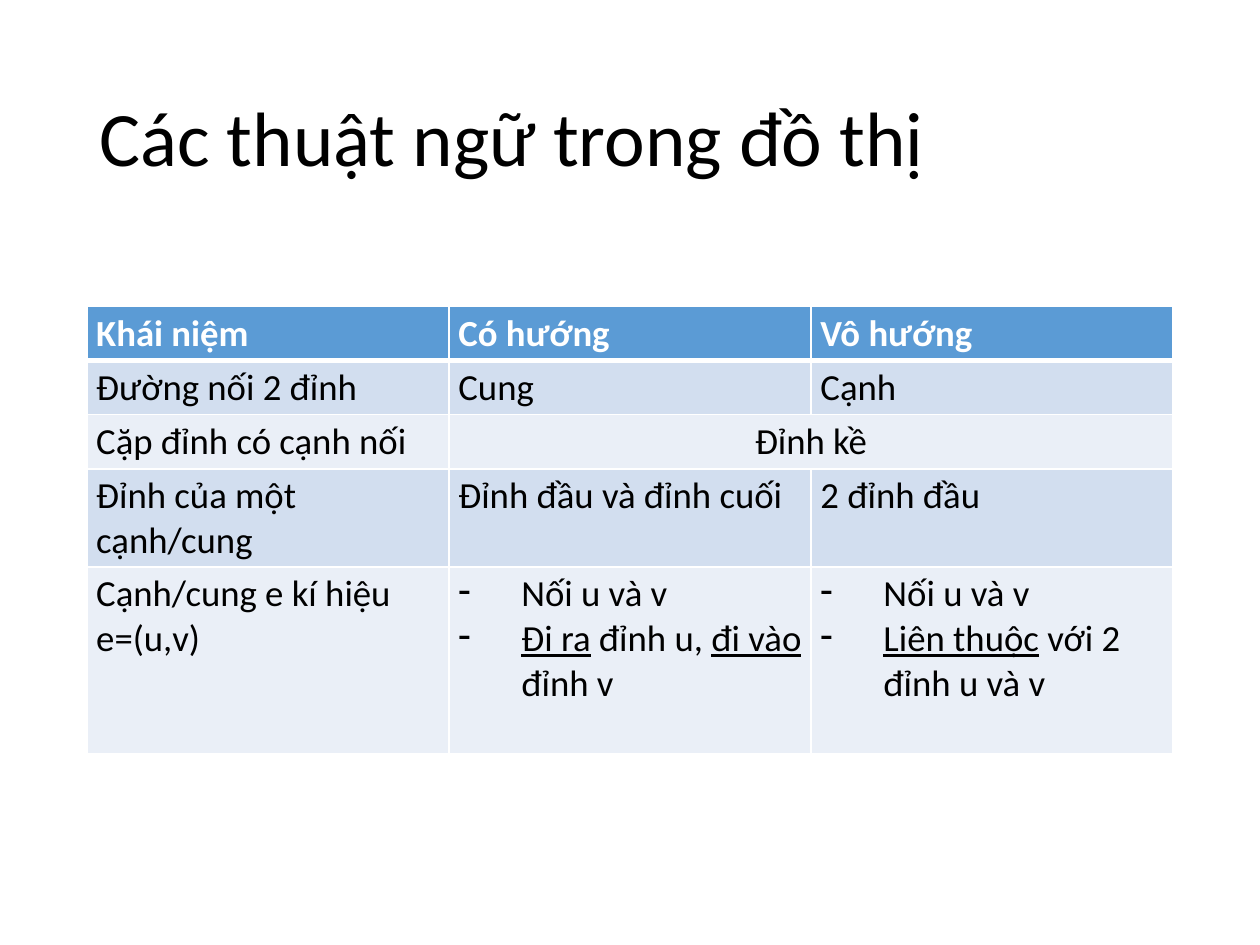
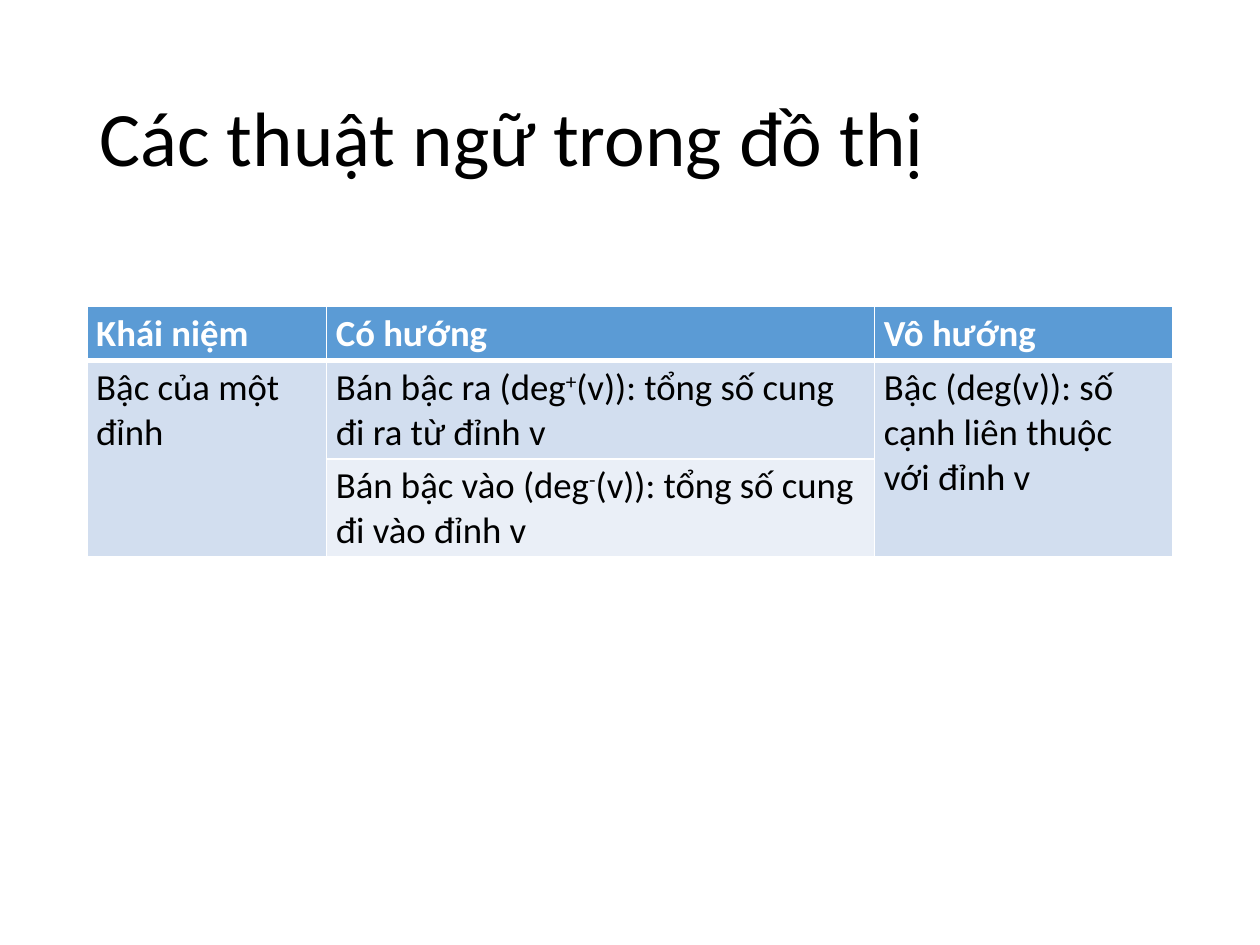
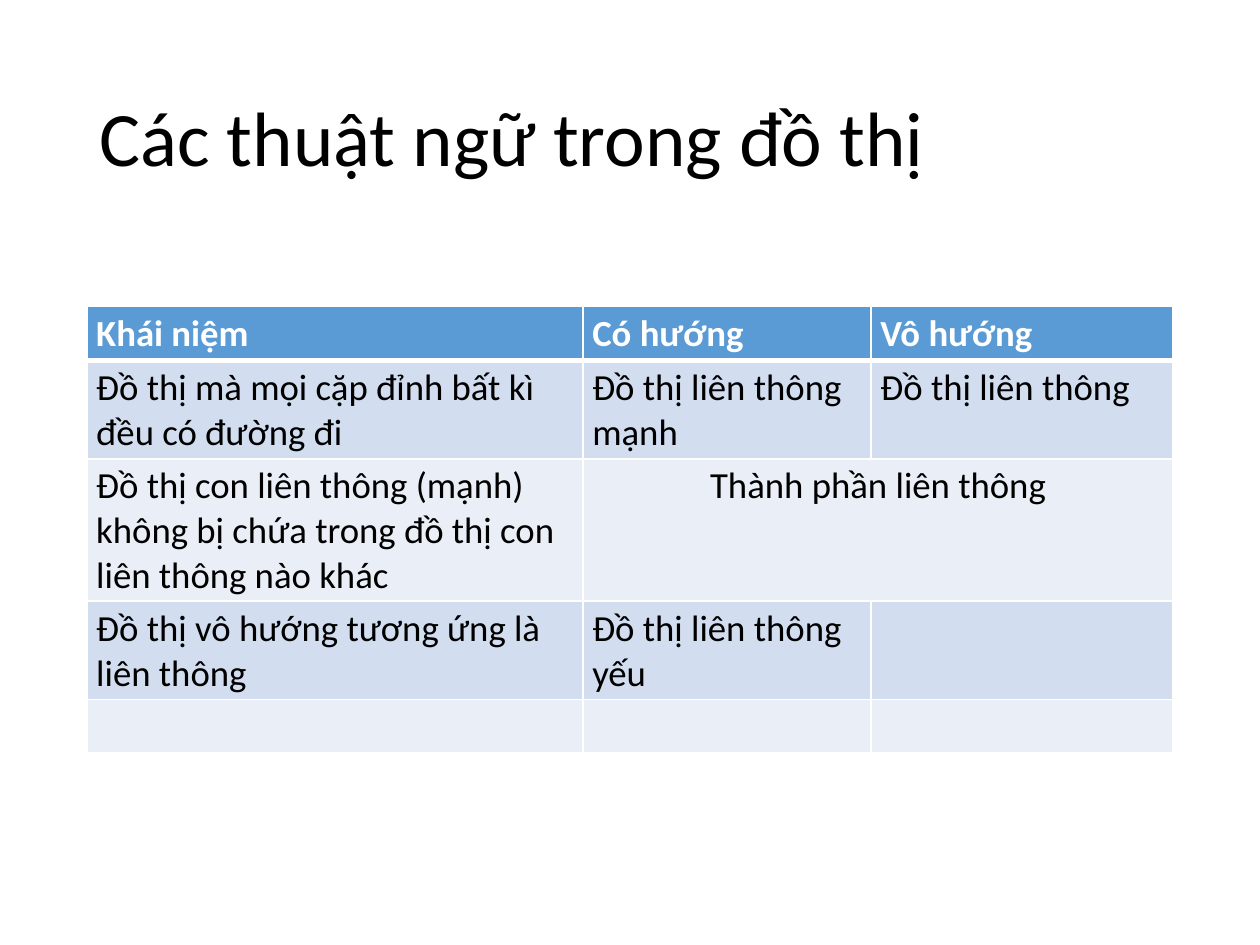
import pptx
import pptx.util
import pptx.dml.color
import pptx.enum.text
import pptx.oxml.ns
import lxml.etree

Cm, Pt = pptx.util.Cm, pptx.util.Pt
Align = pptx.enum.text.PP_ALIGN
Anchor = pptx.enum.text.MSO_ANCHOR

# Content: a cell is a string or a list of dash items; a text may be a list of (words, mark) runs
TITLE = "Các thuật ngữ trong đồ thị"
HEAD = ["Khái niệm", "Có hướng", "Vô hướng"]
# lines: text lines per row; merge: first and last cell (row, column)
SLIDES = [
    {
        "cols": [7.3, 7.3, 7.3],
        "lines": [1, 1, 1, 2, 4],
        "merge": [((2, 1), (2, 2))],
        "rows": [
            ["Đường nối 2 đỉnh", "Cung", "Cạnh"],
            ["Cặp đỉnh có cạnh nối", "Đỉnh kề", ""],
            ["Đỉnh của một cạnh/cung", "Đỉnh đầu và đỉnh cuối", "2 đỉnh đầu"],
            ["Cạnh/cung e kí hiệu e=(u,v)",
             ["Nối u và v",
              [("Đi ra", "under"), (" đỉnh u, ", ""), ("đi vào", "under"), (" đỉnh v", "")]],
             ["Nối u và v",
              [("Liên thuộc", "under"), (" với 2 đỉnh u và v", "")]]],
        ],
    },
    {
        "cols": [4.83, 11.05, 6.02],
        "lines": [1, 2, 2],
        "merge": [((1, 0), (2, 0)), ((1, 2), (2, 2))],
        "rows": [
            ["Bậc của một đỉnh",
             (("Bán bậc ra (deg", ""), ("+", "super"), ("(v)): tổng số cung đi ra từ đỉnh v", "")),
             "Bậc (deg(v)): số cạnh liên thuộc với đỉnh v"],
            ["",
             (("Bán bậc vào (deg", ""), ("-", "super"), ("(v)): tổng số cung đi vào đỉnh v", "")),
             ""],
        ],
    },
    {
        "cols": [10, 5.81, 6.09],
        "lines": [1, 2, 3, 2, 1],
        "merge": [((2, 1), (2, 2))],
        "rows": [
            ["Đồ thị mà mọi cặp đỉnh bất kì đều có đường đi",
             "Đồ thị liên thông mạnh", "Đồ thị liên thông"],
            ["Đồ thị con liên thông (mạnh) không bị chứa trong đồ thị con liên thông nào khác",
             "Thành phần liên thông", ""],
            ["Đồ thị vô hướng tương ứng là liên thông", "Đồ thị liên thông yếu", ""],
            ["", "", ""],
        ],
    },
]

# Shared look
HEX = {"text": "000000", "white": "FFFFFF", "head": "5B9BD5", "odd": "D2DEEF", "even": "EAEFF7"}
FONT = "Calibri"
LEFT, WIDTH = 1.75, 21.9
TOP = 6.18
ROW, LINE = 1.07, 0.9      # height of a one-line row, and of each further line
HANG = Cm(1.27)
STYLES = {
    "title": {"name": FONT, "size": Pt(44), "bold": False},
    "head": {"name": FONT, "size": Pt(21), "bold": True},
    "body": {"name": FONT, "size": Pt(21), "bold": False},
}
PAD = {"margin_left": Cm(0.19), "margin_right": Cm(0.19),
       "margin_top": Cm(0.1), "margin_bottom": Cm(0.1)}


def rgb(key):
    return pptx.dml.color.RGBColor.from_string(HEX[key])


def apply(obj, style):
    for key, value in style.items():
        setattr(obj, key, value)


def node(parent, tag, **attrs):
    return lxml.etree.SubElement(parent, pptx.oxml.ns.qn(tag), attrs)


def write(para, text, style, color):
    """Fill a paragraph with plain text or with marked runs."""
    runs = [(text, "")] if isinstance(text, str) else text
    for words, mark in runs:
        run = para.add_run()
        run.text = words
        apply(run.font, STYLES[style])
        run.font.color.rgb = rgb(color)
        if mark == "under":
            run.font.underline = True
        elif mark == "super":
            run.font._element.set("baseline", "30000")


def dash(para):
    props = para._p.get_or_add_pPr()
    props.set("marL", str(HANG))
    props.set("indent", str(-HANG))
    node(props, "a:buChar", char="-")


def border(cell, row):
    """White lines, heavier under the head row."""
    props = cell._tc.get_or_add_tcPr()
    for side in "LRTB":
        heavy = (row, side) in ((0, "B"), (1, "T"))
        line = node(props, "a:ln" + side, w=str(Pt(3 if heavy else 1)))
        node(node(line, "a:solidFill"), "a:srgbClr", val=HEX["white"])


def fill_cell(cell, text, row):
    apply(cell, PAD)
    border(cell, row)
    cell.fill.solid()
    cell.fill.fore_color.rgb = rgb("head" if row == 0 else "odd" if row % 2 else "even")
    if not text:
        return
    style, color = ("body", "text") if row else ("head", "white")
    frame = cell.text_frame
    items = text if isinstance(text, list) else [text]
    for i, item in enumerate(items):
        para = frame.add_paragraph() if i else frame.paragraphs[0]
        write(para, item, style, color)
        if isinstance(text, list):
            dash(para)


def add_title(slide):
    box = slide.shapes.add_textbox(Cm(LEFT), Cm(1.01), Cm(WIDTH), Cm(3.68))
    apply(box.text_frame, {"word_wrap": True, "vertical_anchor": Anchor.MIDDLE})
    para = box.text_frame.paragraphs[0]
    para.line_spacing = 0.9
    write(para, TITLE, "title", "text")


def add_grid(slide, data):
    rows = [HEAD] + data["rows"]
    tall = [ROW + LINE * (n - 1) for n in data["lines"]]
    table = slide.shapes.add_table(len(rows), len(HEAD), Cm(LEFT), Cm(TOP),
                                   Cm(WIDTH), Cm(sum(tall))).table
    apply(table, {"first_row": False, "horz_banding": False})
    for col, wide in zip(table.columns, data["cols"]):
        col.width = Cm(wide)
    for r, texts in enumerate(rows):
        table.rows[r].height = Cm(tall[r])
        for c, text in enumerate(texts):
            fill_cell(table.cell(r, c), text, r)
    for first, last in data["merge"]:
        cell = table.cell(*first)
        cell.merge(table.cell(*last))
        if first[0] == last[0]:     # cells joined across are centred
            cell.text_frame.paragraphs[0].alignment = Align.CENTER


def main():
    deck = pptx.Presentation()
    deck.slide_width, deck.slide_height = Cm(25.4), Cm(19.05)
    for data in SLIDES:
        slide = deck.slides.add_slide(deck.slide_layouts[6])
        add_title(slide)
        add_grid(slide, data)
    deck.save("out.pptx")


if __name__ == "__main__":
    main()
